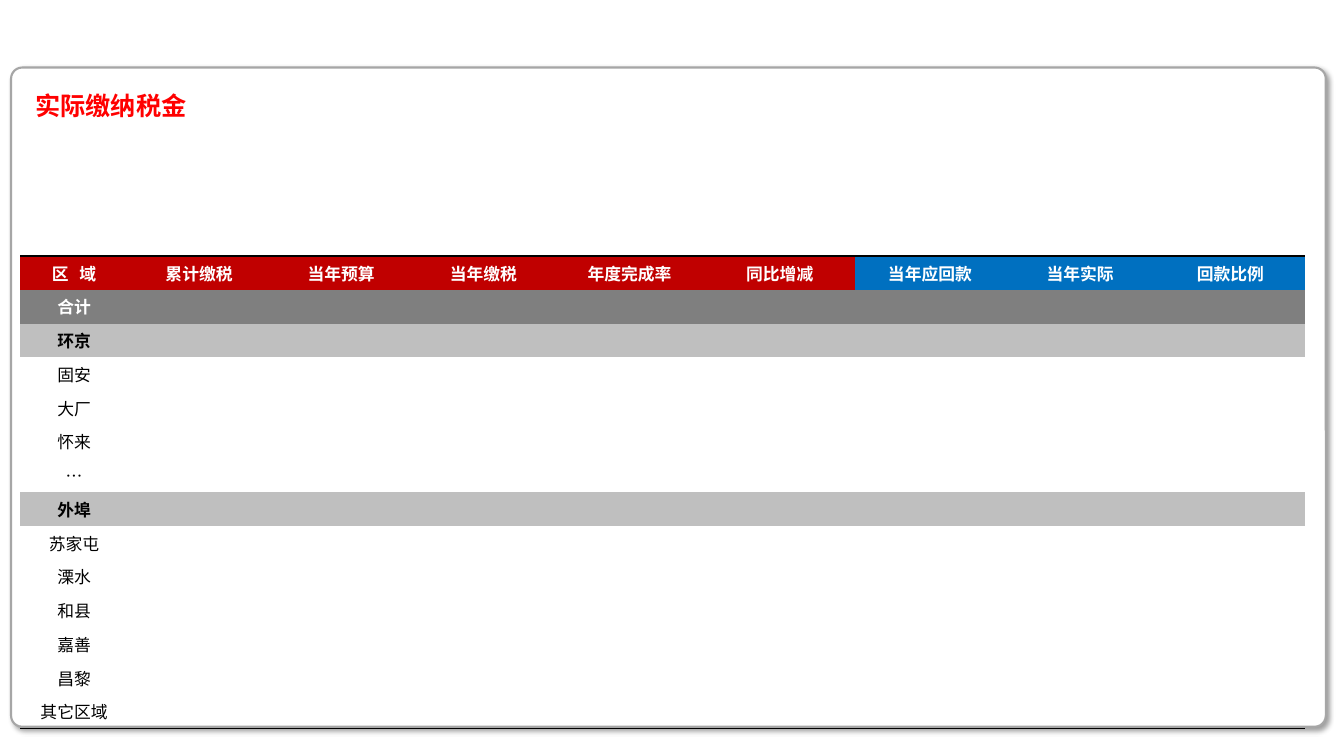
import pptx
import pptx.dml.color
import pptx.enum.shapes
import pptx.enum.text
import pptx.oxml
import pptx.oxml.ns
import pptx.util

WIDTH, HEIGHT = 13.33, 7.5
HEADINGS = ["区 域", "累计缴税", "当年预算", "当年缴税", "年度完成率",
            "同比增减", "当年应回款", "当年实际", "回款比例"]
REGIONS = ["合计", "环京", "固安", "大厂", "怀来", "…", "外埠",
           "苏家屯", "溧水", "和县", "嘉善", "昌黎", "其它区域"]
COLUMN_WIDTHS = [1.07] + [1.41] * 3 + [1.49] * 5
TAX_COLUMNS = 6
GROUPS = ("环京", "外埠")
TABLE_FONT = "Noto Sans CJK SC"
NO_STYLE = "{2D5ABB26-0587-4C30-8999-92F81FD0307C}"
NAMESPACE = pptx.oxml.ns.nsdecls("a")


def color(value):
    return pptx.dml.color.RGBColor.from_string(value)


def inches(*lengths):
    return [pptx.util.Inches(length) for length in lengths]


def format_span(span, size, font, value, bold):
    span.font.size = pptx.util.Pt(size)
    span.font.name = font
    span.font.bold = bold
    span.font.color.rgb = color(value)
    properties = span.font._element if hasattr(span.font, "_element") else span._r.get_or_add_rPr()
    properties.find(pptx.oxml.ns.qn("a:latin")).addnext(
        pptx.oxml.parse_xml(f'<a:ea {NAMESPACE} typeface="{font}"/>'))


def clear_margins(holder):
    holder.margin_left = holder.margin_right = 0
    holder.margin_top = holder.margin_bottom = 0


def add_card(page, left, top, width, height):
    card = page.shapes.add_shape(
        pptx.enum.shapes.MSO_SHAPE.ROUNDED_RECTANGLE, *inches(left, top, width, height))
    card.adjustments[0] = 0.017
    card.fill.solid()
    card.fill.fore_color.rgb = color("FFFFFF")
    card.line.color.rgb = color("A6A6A6")
    card.line.width = pptx.util.Pt(1.5)
    card.shadow.inherit = False
    effects = card.element.spPr.find(pptx.oxml.ns.qn("a:effectLst"))
    effects.append(pptx.oxml.parse_xml(
        f'<a:outerShdw {NAMESPACE} blurRad="{pptx.util.Pt(4)}" dist="{pptx.util.Pt(3)}" '
        'dir="2700000" algn="tl" rotWithShape="0"><a:srgbClr val="000000">'
        '<a:alpha val="40000"/></a:srgbClr></a:outerShdw>'))
    page.shapes.title.element.addprevious(card.element)


def add_title(page, left, top, width, height):
    title = page.shapes.title
    title.left, title.top, title.width, title.height = inches(left, top, width, height)
    frame = title.text_frame
    frame.text = "实际缴纳税金"
    frame.word_wrap = True
    frame.auto_size = pptx.enum.text.MSO_AUTO_SIZE.NONE
    frame.vertical_anchor = pptx.enum.text.MSO_ANCHOR.MIDDLE
    clear_margins(frame)
    para = frame.paragraphs[0]
    para.alignment = pptx.enum.text.PP_ALIGN.LEFT
    format_span(para.runs[0], 18, "DejaVu Sans", "FF0000", True)


def row_style(row, column):
    if row == 0:
        return ("C00000" if column < TAX_COLUMNS else "0070C0"), "FFFFFF", True
    if row == 1:
        return "7F7F7F", "FFFFFF", True
    if REGIONS[row - 1] in GROUPS:
        return "BFBFBF", "000000", True
    return None, "000000", False


def add_border(cell, side):
    cell._tc.get_or_add_tcPr().insert(0, pptx.oxml.parse_xml(
        f'<a:{side} {NAMESPACE} w="{pptx.util.Pt(1)}"><a:solidFill>'
        f'<a:srgbClr val="000000"/></a:solidFill></a:{side}>'))


def fill_cell(cell, text, fill, text_color, bold):
    clear_margins(cell)
    cell.vertical_anchor = pptx.enum.text.MSO_ANCHOR.MIDDLE
    if fill:
        cell.fill.solid()
        cell.fill.fore_color.rgb = color(fill)
    else:
        cell.fill.background()
    para = cell.text_frame.paragraphs[0]
    para.text = text
    para.alignment = pptx.enum.text.PP_ALIGN.CENTER
    for span in para.runs:
        format_span(span, 12, TABLE_FONT, text_color, bold)
    if not text:
        para._p.get_or_add_endParaRPr().set("sz", "1200")


def add_tax_table(page, left, top, width, height):
    rows = [HEADINGS] + [[region] + [""] * (len(HEADINGS) - 1) for region in REGIONS]
    table = page.shapes.add_table(
        len(rows), len(HEADINGS), *inches(left, top, width, height)).table
    table.first_row = table.horz_banding = False
    table._tbl.tblPr.find(pptx.oxml.ns.qn("a:tableStyleId")).text = NO_STYLE
    for column, share in zip(table.columns, COLUMN_WIDTHS):
        column.width = pptx.util.Inches(width * share / sum(COLUMN_WIDTHS))
    for row, texts in enumerate(rows):
        table.rows[row].height = pptx.util.Inches(height / len(rows))
        for column, text in enumerate(texts):
            cell = table.cell(row, column)
            fill_cell(cell, text, *row_style(row, column))
            if row == 0:
                add_border(cell, "lnT")
            if row == len(rows) - 1:
                add_border(cell, "lnB")
    region_heading = table.cell(0, 0).text_frame.paragraphs[0].runs[0]
    region_heading._r.get_or_add_rPr().set("spc", "250")


def add_tax_page(deck):
    page = deck.slides.add_slide(deck.slide_layouts[5])
    left, top, width, height = 0.11, 0.67, WIDTH - 0.29, HEIGHT - 0.96
    add_card(page, left, top, width, height)
    add_title(page, left + 0.24, top + 0.23, width / 4, 0.3)
    add_tax_table(page, left + 0.09, top + 1.87, width - 0.29, 4.69)


def main():
    deck = pptx.Presentation()
    deck.slide_width, deck.slide_height = inches(WIDTH, HEIGHT)
    add_tax_page(deck)
    deck.save("out.pptx")


if __name__ == "__main__":
    main()
